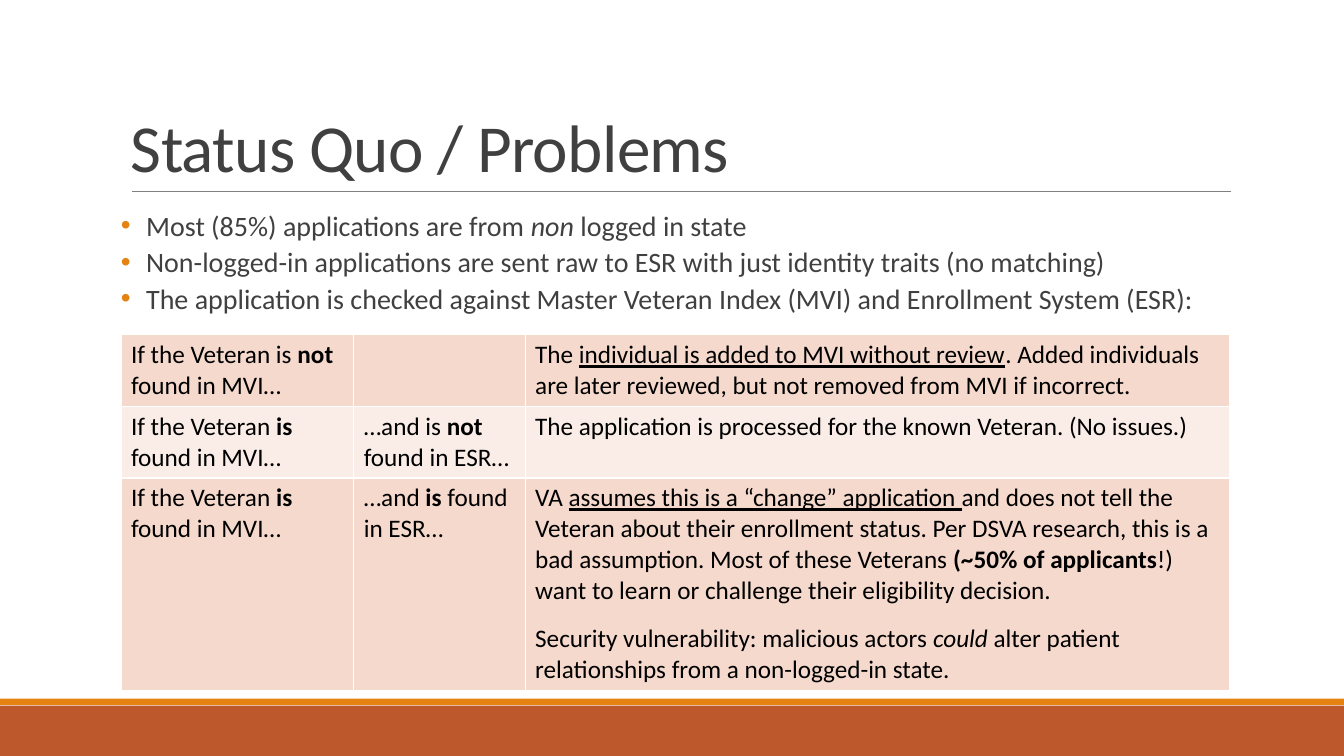
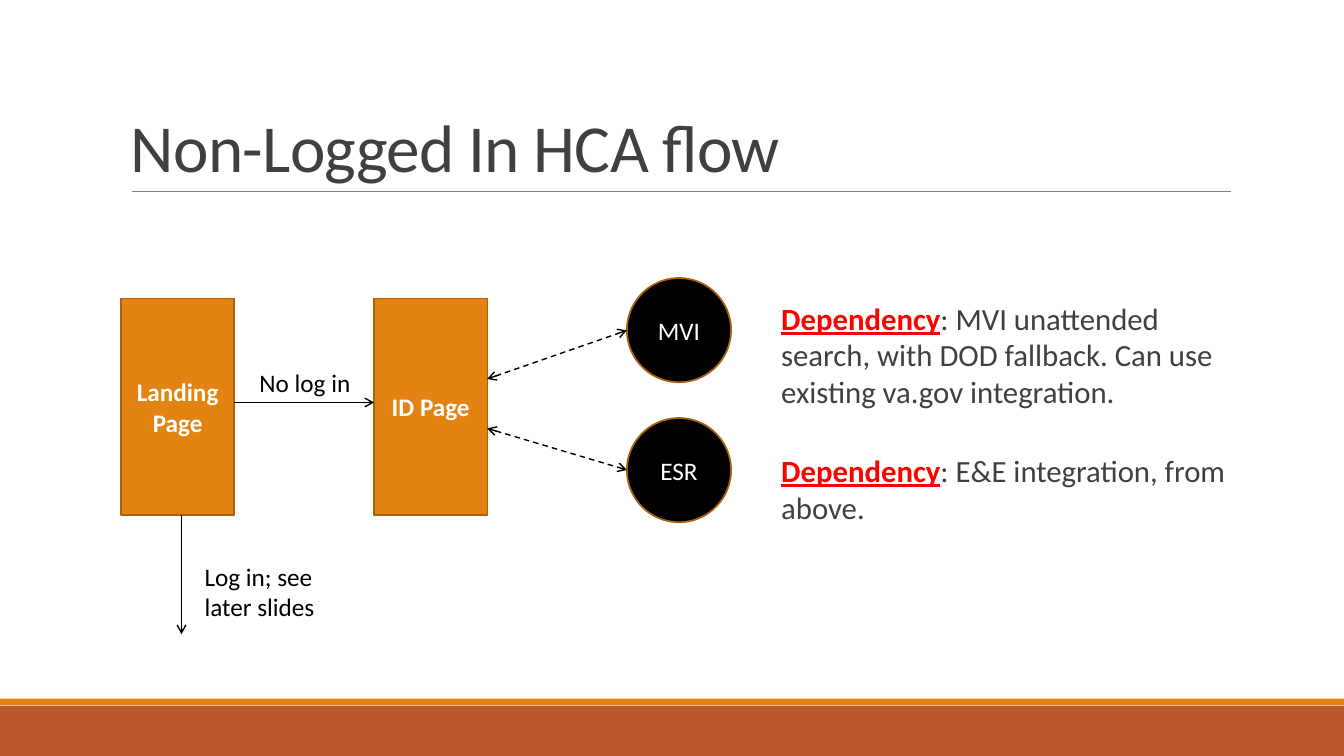
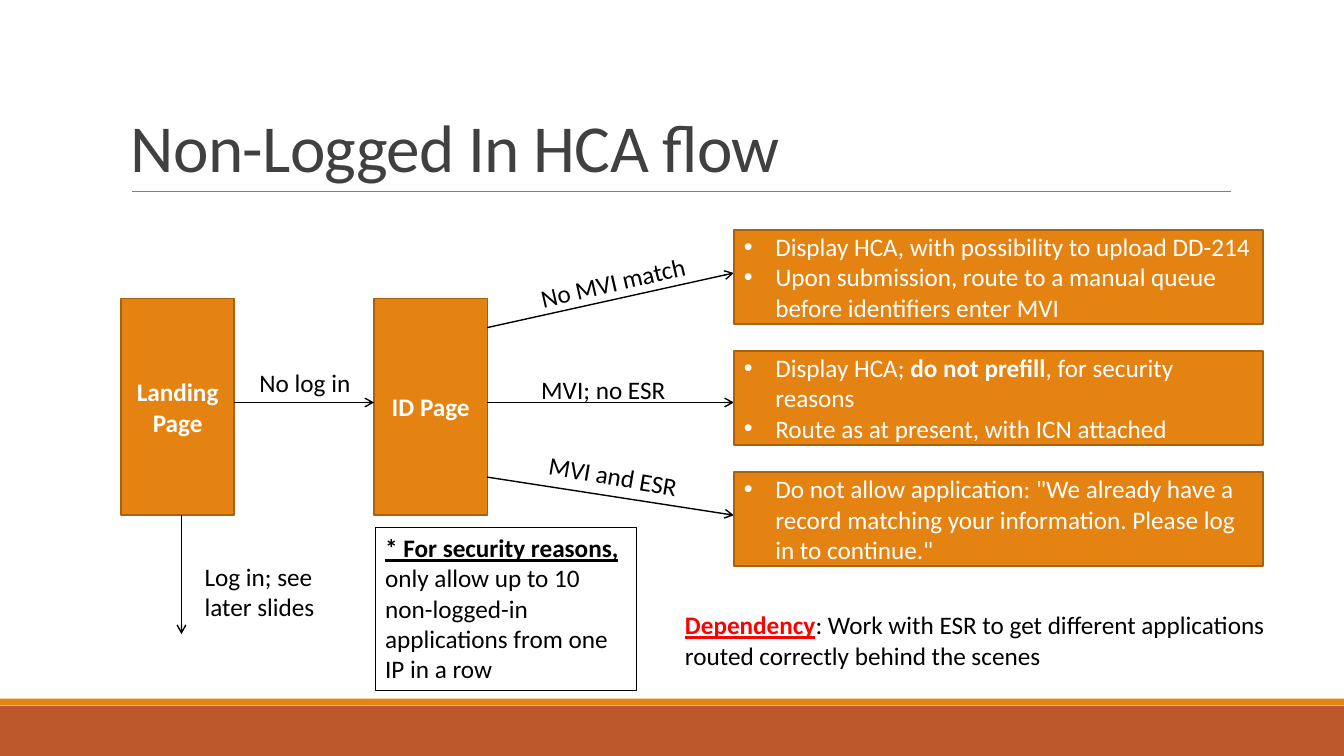
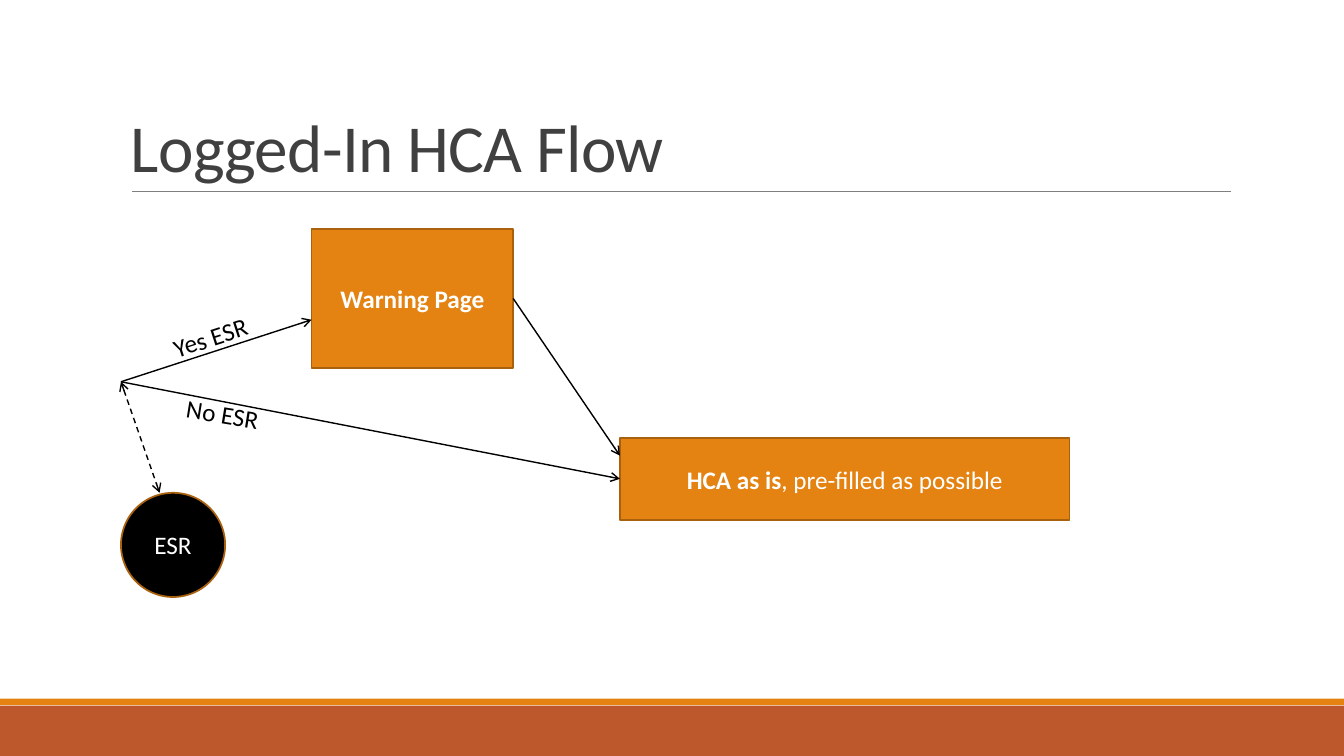
from lxml import etree
from pptx import Presentation
from pptx import util as u
from pptx.dml.color import RGBColor
from pptx.enum import dml, shapes, text
from pptx.oxml import ns

FONT = "Calibri"
ORANGE, RUST, BROWN = "E48312", "BD582C", "A9610D"
BLACK, WHITE, GREY, RED = "000000", "FFFFFF", "404040", "FF0000"
RULE_GREY, ROW_DARK, ROW_LIGHT = "808080", "F5D9CC", "FAEDE7"
LEFT, WIDTH = 86.4, 792
LEFT_ALIGN, CENTER = text.PP_ALIGN.LEFT, text.PP_ALIGN.CENTER
TOP, MIDDLE, BOTTOM = (text.MSO_ANCHOR.TOP, text.MSO_ANCHOR.MIDDLE,
                       text.MSO_ANCHOR.BOTTOM)


def rgb(color):
    return RGBColor.from_string(color)


def add_element(parent, tag, **attributes):
    return etree.SubElement(parent, ns.qn(tag), attributes)


class Deck:
    """Holds the shared style and the slide being filled.

    A paragraph is a list of runs. A run is a string, or a pair of a string
    and flags: b bold, i italic, u underlined, r red.
    """

    def __init__(self):
        self.presentation = Presentation()
        self.presentation.slide_width = u.Pt(960)
        self.presentation.slide_height = u.Pt(540)
        self.slide = None

    def new_slide(self, title):
        self.slide = self.presentation.slides.add_slide(
            self.presentation.slide_layouts[6])
        self.box((0, 504, 960, 36), fill=RUST)
        self.box((0, 499, 960, 4.7), fill=ORANGE)
        self.line((94.4, 136.7), (879, 136.7), color=RULE_GREY, width=0.5, tail=None)
        shape = self.text((LEFT, 22.4, WIDTH, 114.4), [[title]], size=48,
                          color=GREY, anchor=BOTTOM)
        paragraph = shape.text_frame.paragraphs[0]
        paragraph.line_spacing = 0.85
        paragraph.runs[0].font._element.set("spc", "-50")

    def fill_frame(self, frame, paragraphs, size=18, color=BLACK,
                   align=LEFT_ALIGN, gap=0, bullet=None, indent=0):
        """Put paragraphs in a text frame; gap is the space between them."""
        frame.word_wrap = True
        for index, runs in enumerate(paragraphs):
            paragraph = frame.add_paragraph() if index else frame.paragraphs[0]
            paragraph.alignment = align
            paragraph.space_before = u.Pt(gap if index else 0)
            if bullet:
                self.add_bullet(paragraph, bullet, indent)
            for item in runs:
                words, flags = (item, "") if isinstance(item, str) else item
                run = paragraph.add_run()
                run.text = words
                font = run.font
                font.name, font.size = FONT, u.Pt(size)
                font.bold, font.italic = "b" in flags, "i" in flags
                font.underline = "u" in flags
                font.color.rgb = rgb(RED if "r" in flags else color)

    def add_bullet(self, paragraph, color, indent):
        properties = paragraph._p.get_or_add_pPr()
        properties.set("marL", str(u.Pt(indent)))
        properties.set("indent", str(-u.Pt(indent)))
        add_element(add_element(properties, "a:buClr"), "a:srgbClr", val=color)
        add_element(properties, "a:buFont", typeface="Arial")
        add_element(properties, "a:buChar", char="•")

    def text(self, area, paragraphs, anchor=TOP, inset=7.2, rotation=0,
             border=None, **style):
        shape = self.slide.shapes.add_textbox(*map(u.Pt, area))
        shape.rotation = rotation
        frame = shape.text_frame
        frame.vertical_anchor = anchor
        frame.margin_left = frame.margin_right = u.Pt(inset)
        if border:
            shape.line.color.rgb = rgb(border)
            shape.line.width = u.Pt(0.75)
        self.fill_frame(frame, paragraphs, **style)
        return shape

    def box(self, area, paragraphs=(), fill=ORANGE, border=None,
            kind=shapes.MSO_SHAPE.RECTANGLE, align=CENTER, **style):
        shape = self.slide.shapes.add_shape(kind, *map(u.Pt, area))
        shape.shadow.inherit = False
        shape.fill.solid()
        shape.fill.fore_color.rgb = rgb(fill)
        if border:
            shape.line.color.rgb = rgb(border)
            shape.line.width = u.Pt(1.25)
        else:
            shape.line.fill.background()
        shape.text_frame.vertical_anchor = MIDDLE
        self.fill_frame(shape.text_frame, paragraphs, color=WHITE, align=align,
                        **style)

    def page(self, area, paragraphs, **style):
        self.box(area, paragraphs, border=BROWN, **style)

    def system(self, left, top, name):
        self.box((left, top, 74.4, 74.4), [[name]], fill=BLACK, border=BROWN,
                 kind=shapes.MSO_SHAPE.OVAL)

    def line(self, start, end, color=BLACK, width=1, dashed=False, head=None,
             tail="arrow"):
        connector = self.slide.shapes.add_connector(
            shapes.MSO_CONNECTOR.STRAIGHT, *map(u.Pt, (*start, *end)))
        line = connector.line
        line.color.rgb = rgb(color)
        line.width = u.Pt(width)
        if dashed:
            line.dash_style = dml.MSO_LINE.DASH
        outline = connector._element.spPr.find(ns.qn("a:ln"))
        for tag, arrow in (("a:headEnd", head), ("a:tailEnd", tail)):
            if arrow:
                add_element(outline, tag, type=arrow)
        add_element(connector._element.spPr, "a:effectLst")

    def exchange(self, start, end):
        """Dashed line with an arrow at both ends."""
        self.line(start, end, dashed=True, head="arrow")

    def table(self, area, widths, heights, rows, fills, gap):
        table = self.slide.shapes.add_table(
            len(rows), len(widths), *map(u.Pt, area)).table
        table.first_row = False
        for column, width in zip(table.columns, widths):
            column.width = u.Pt(width)
        for row, height, cells, fill in zip(table.rows, heights, rows, fills):
            row.height = u.Pt(height)
            for cell, paragraphs in zip(row.cells, cells):
                properties = cell._tc.get_or_add_tcPr()
                for side in "LRTB":
                    edge = add_element(properties, f"a:ln{side}", w=str(u.Pt(1)))
                    add_element(add_element(edge, "a:solidFill"),
                                "a:srgbClr", val=WHITE)
                cell.fill.solid()
                cell.fill.fore_color.rgb = rgb(fill)
                self.fill_frame(cell.text_frame, paragraphs, gap=gap)

    def entry_flow(self):
        """Landing page leading to the ID page or to the log in."""
        for left, name in ((LEFT, "Landing Page"), (267.2, "ID Page")):
            self.page((left, 213.2, 81, 154.8), [[(name, "b")]])
        self.line((167.4, 287.5), (267.2, 287.5))
        self.line((129.6, 368), (129.6, 453))
        self.text((178.3, 258.5, 88.6, 29), [["No log in"]])
        self.text((139, 397.5, 101, 51), [["Log in; see later slides"]])


def status_quo(deck):
    deck.new_slide("Status Quo / Problems")
    deck.text((LEFT, 145.4, WIDTH, 90), [
        ["Most (85%) applications are from ", ("non", "i"), " logged in state"],
        ["Non-logged-in applications are sent raw to ESR with just identity "
         "traits (no matching)"],
        ["The application is checked against Master Veteran Index (MVI) and "
         "Enrollment System (ESR):"],
    ], size=20, color=GREY, inset=0, gap=2, bullet=ORANGE, indent=18)
    found_in_mvi = [["If the Veteran ", ("is", "b"), " found in MVI…"]]
    rows = [
        [[["If the Veteran is ", ("not", "b"), " found in MVI…"]],
         [],
         [["The ", ("individual is added to MVI without review", "u"),
           ". Added individuals are later reviewed, but not removed from MVI "
           "if incorrect."]]],
        [found_in_mvi,
         [["…and is ", ("not", "b"), " found in ESR…"]],
         [["The application is processed for the known Veteran. (No issues.)"]]],
        [found_in_mvi,
         [["…and ", ("is", "b"), " found in ESR…"]],
         [["VA ", ("assumes this is a “change” application ", "u"),
           "and does not tell the Veteran about their enrollment status. Per "
           "DSVA research, this is a bad assumption. Most of these Veterans ",
           ("(~50% of applicants", "b"),
           "!) want to learn or challenge their eligibility decision."],
          ["Security vulnerability: malicious actors ", ("could", "i"),
           " alter patient relationships from a non-logged-in state."]]],
    ]
    deck.table((LEFT, 239, WIDTH, 254), (166.3, 122.4, 503.3), (51.2, 51.2, 151.6),
               rows, (ROW_DARK, ROW_LIGHT, ROW_DARK), gap=12.8)


def system_checks(deck):
    deck.new_slide("Non-Logged In HCA flow")
    deck.entry_flow()
    deck.system(447.8, 198.6, "MVI")
    deck.system(447.8, 298.6, "ESR")
    deck.exchange((348, 270.7), (447.8, 236))
    deck.exchange((348, 306), (447.8, 335.7))
    deck.text((558, 210.2, 320.4, 240), [
        [("Dependency", "bur"), ": MVI unattended search, with DOD fallback. "
         "Can use existing va.gov integration."],
        [("Dependency", "bur"), ": E&E integration, from above."],
    ], size=22, color=GREY, inset=0, gap=30)


def match_results(deck):
    deck.new_slide("Non-Logged In HCA flow")
    deck.entry_flow()
    for start, end in ((234, 195), (287.5, 287.5), (340.8, 368)):
        deck.line((348, start), (524.2, end))
    for left, top, rotation, label in ((378, 186.5, 347, "No MVI match"),
                                       (379.5, 263.5, 0, "MVI; no ESR"),
                                       (384.5, 327, 9.7, "MVI and ESR")):
        deck.text((left, top, 126, 29), [[label]], rotation=rotation)
    outcomes = [
        [["Display HCA, with possibility to upload DD-214"],
         ["Upon submission, route to a manual queue before identifiers enter MVI"]],
        [["Display HCA; ", ("do not prefill", "b"), ", for security reasons"],
         ["Route as at present, with ICN attached"]],
        [['Do not allow application: "We already have a record matching your '
          'information. Please log in to continue."']],
    ]
    for index, outcome in enumerate(outcomes):
        deck.page((524.2, 164.2 + 86.5 * index, 378, 67), outcome,
                  align=LEFT_ALIGN, bullet=WHITE, indent=22.5)
    deck.text((482.2, 432, 456, 51), [
        [("Dependency", "bur"), ": Work with ESR to get different applications "
         "routed correctly behind the scenes"]])
    deck.text((268, 376.8, 186.5, 116.6), [
        [("* For security reasons, ", "bu"),
         "only allow up to 10 non-logged-in applications from one IP in a row"],
    ], border=BLACK)


def logged_in(deck):
    deck.new_slide("Logged-In HCA Flow")
    start = (LEFT, 272.7)
    deck.page((442.8, 312.6, 321.2, 59), [[("HCA as is", "b"),
                                           ", pre-filled as possible"]])
    deck.page((222.6, 163.5, 144, 99.4), [[("Warning Page", "b")]])
    deck.system(LEFT, 352, "ESR")
    deck.line(start, (442.8, 342))
    deck.line(start, (222.6, 228.4))
    deck.line((366.6, 213.2), (442.8, 325.5))
    deck.exchange(start, (114, 352))
    deck.text((126, 281.5, 69.4, 29), [["No ESR"]], rotation=9.2)
    deck.text((116, 226.1, 69.4, 29), [["Yes ESR"]], rotation=342)


def main():
    deck = Deck()
    for build in (status_quo, system_checks, match_results, logged_in):
        build(deck)
    deck.presentation.save("out.pptx")


if __name__ == "__main__":
    main()
